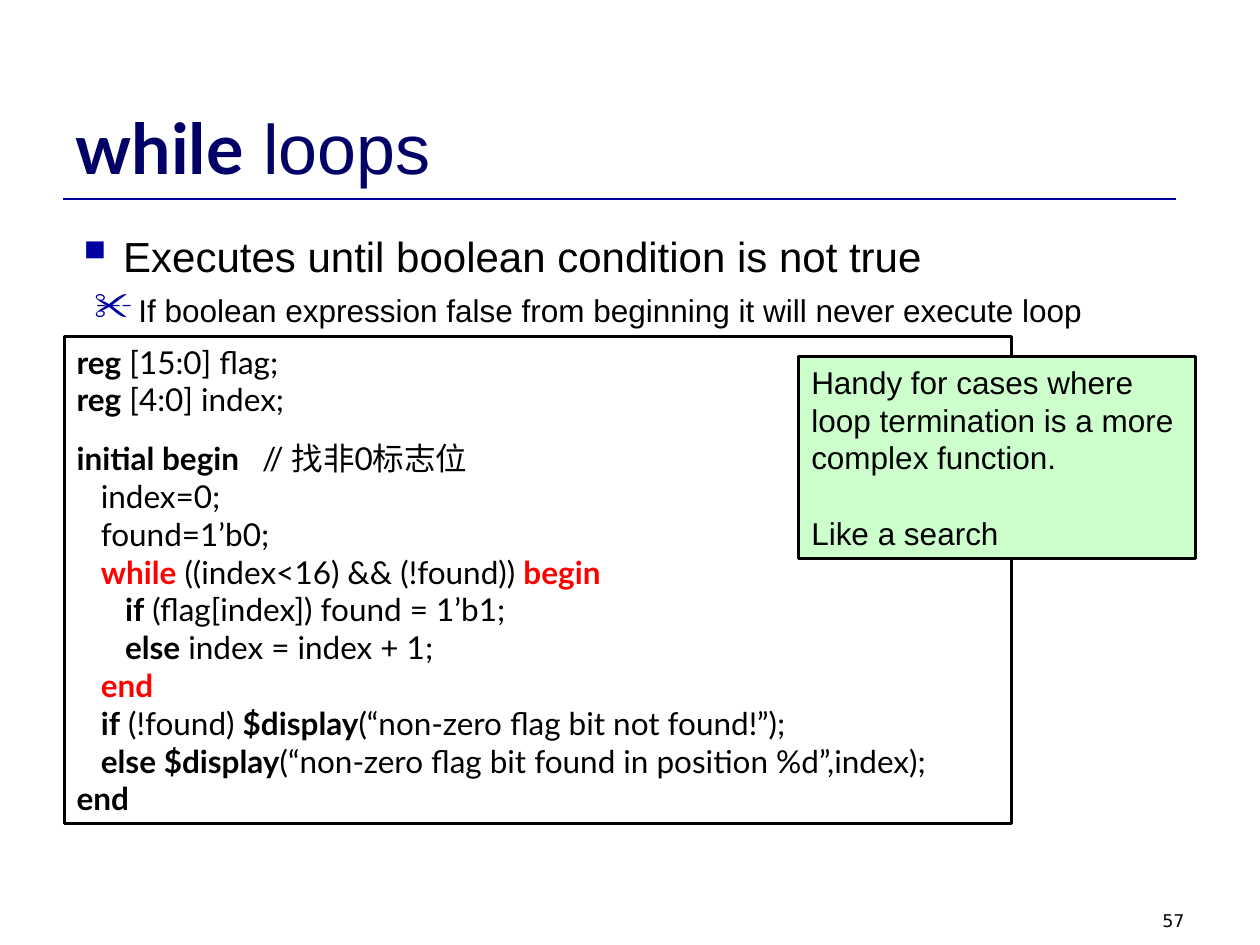
from typing import NamedTuple

from lxml import etree
from pptx import Presentation
from pptx.dml.color import RGBColor
from pptx.enum import shapes, text
from pptx.oxml.ns import qn
from pptx.util import Inches, Pt

BLACK = RGBColor(0, 0, 0)
RED = RGBColor(0xFF, 0, 0)
NAVY = RGBColor(0, 0, 0x66)
BLUE = RGBColor(0, 0, 0xA0)
MINT = RGBColor(0xCC, 0xFF, 0xCC)


class Run(NamedTuple):
    text: str
    bold: bool = False
    color: RGBColor = BLACK


class Point(NamedTuple):
    text: str
    size: float
    mark: str
    left: float
    hang: float
    before: float


def key(word: str) -> Run:
    return Run(word, True)


def hot(word: str) -> Run:
    return Run(word, True, RED)


CODE = [
    [key("reg"), Run(" [15:0] flag;")],
    [key("reg"), Run(" [4:0] index;")],
    [key("initial begin   "), Run("// 找非0标志位")],
    [Run("   index=0;")],
    [Run("   found=1’b0;")],
    [Run("   "), hot("while"), Run(" ((index<16) && (!found)) "), hot("begin")],
    [Run("      "), key("if"), Run(" (flag[index]) found = 1’b1;")],
    [Run("      "), key("else"), Run(" index = index + 1;")],
    [Run("   "), hot("end")],
    [Run("   "), key("if"), Run(" (!found) "), key("$display"),
     Run("(“non-zero flag bit not found!”);")],
    [Run("   "), key("else $display"),
     Run("(“non-zero flag bit found in position %d”,index);")],
    [key("end")],
]
BLOCK = 2  # code line that opens a new block

POINTS = [
    Point("Executes until boolean condition is not true", 24, "▪", 0.38, 0.38, 0),
    Point("If boolean expression false from beginning it will never execute loop",
          18, "✂", 0.5, 0.35, 6),
]

NOTE = ["Handy for cases where loop termination is a more complex function.",
        "Like a search"]


def style(run, size: float, face: str, color: RGBColor, bold: bool = False):
    font = run.font
    font.size, font.name, font.bold = Pt(size), face, bold
    font.color.rgb = color


def add_para(frame, index: int):
    return frame.paragraphs[0] if index == 0 else frame.add_paragraph()


def add_runs(para, runs: list[Run], size: float, face: str):
    for item in runs:
        run = para.add_run()
        run.text = item.text
        style(run, size, face, item.color, item.bold)


def add_frame(slide, left: float, top: float, width: float, height: float):
    box = slide.shapes.add_textbox(
        Inches(left), Inches(top), Inches(width), Inches(height))
    box.text_frame.word_wrap = True
    return box.text_frame


def add_panel(slide, left: float, top: float, width: float, height: float,
              fill: RGBColor | None = None):
    """Draw a black-edged box and return its top-anchored text frame."""
    box = slide.shapes.add_shape(
        shapes.MSO_SHAPE.RECTANGLE,
        Inches(left), Inches(top), Inches(width), Inches(height))
    box.shadow.inherit = False
    if fill is None:
        box.fill.background()
    else:
        box.fill.solid()
        box.fill.fore_color.rgb = fill
    box.line.color.rgb = BLACK
    box.line.width = Pt(1.75)
    frame = box.text_frame
    frame.vertical_anchor = text.MSO_ANCHOR.TOP
    return frame


def add_mark(para, point: Point):
    props = para._p.get_or_add_pPr()
    props.set("marL", str(Inches(point.left)))
    props.set("indent", str(-Inches(point.hang)))
    tint = etree.SubElement(props, qn("a:buClr"))
    etree.SubElement(tint, qn("a:srgbClr"), val=str(BLUE))
    etree.SubElement(props, qn("a:buSzPct"), val="125000")
    etree.SubElement(props, qn("a:buChar"), char=point.mark)


def add_title(slide):
    title = slide.shapes.title
    title.left, title.top = Inches(0.5), Inches(0.3)
    title.width, title.height = Inches(9), Inches(1.25)
    frame = title.text_frame
    frame.auto_size = text.MSO_AUTO_SIZE.NONE
    frame.vertical_anchor = text.MSO_ANCHOR.BOTTOM
    para = frame.paragraphs[0]
    para.alignment = text.PP_ALIGN.LEFT
    add_runs(para, [Run("while", True, NAVY)], 40, "Lato")
    add_runs(para, [Run(" loops", False, NAVY)], 40, "Arial")


def add_rule(slide):
    rule = slide.shapes.add_connector(
        shapes.MSO_CONNECTOR.STRAIGHT,
        Inches(0.5), Inches(1.58), Inches(9.33), Inches(1.58))
    rule.line.color.rgb = BLUE
    rule.line.width = Pt(1.5)
    etree.SubElement(rule._element.spPr, qn("a:effectLst"))


def add_points(slide):
    frame = add_frame(slide, 0.5, 1.78, 9, 1.05)
    for i, point in enumerate(POINTS):
        para = add_para(frame, i)
        add_mark(para, point)
        if point.before:
            para.space_before = Pt(point.before)
        add_runs(para, [Run(point.text)], point.size, "Arial")


def add_code(slide):
    frame = add_panel(slide, 0.51, 2.67, 7.52, 3.87)
    frame.word_wrap = False
    for i, runs in enumerate(CODE):
        para = add_para(frame, i)
        para.alignment = text.PP_ALIGN.LEFT
        if i == BLOCK:
            para.space_before = Pt(12)
        add_runs(para, runs, 18, "Lato")


def add_note(slide):
    frame = add_panel(slide, 6.34, 2.83, 3.15, 1.6, MINT)
    frame.word_wrap = True
    pitch = Pt(21.6)
    for i, words in enumerate(NOTE):
        para = add_para(frame, i)
        para.alignment = text.PP_ALIGN.LEFT
        para.line_spacing = pitch
        if i:
            para.space_before = pitch
        add_runs(para, [Run(words)], 18, "Arial")


def add_number(slide):
    para = add_frame(slide, 7.17, 7.17, 2.33, 0.25).paragraphs[0]
    para.alignment = text.PP_ALIGN.RIGHT
    add_runs(para, [Run("57")], 10, "DejaVu Sans")


def main():
    deck = Presentation()
    deck.slide_width, deck.slide_height = Inches(10), Inches(7.5)
    slide = deck.slides.add_slide(deck.slide_layouts[5])
    for draw in (add_rule, add_number, add_title, add_points, add_code, add_note):
        draw(slide)
    deck.save("out.pptx")


if __name__ == "__main__":
    main()
